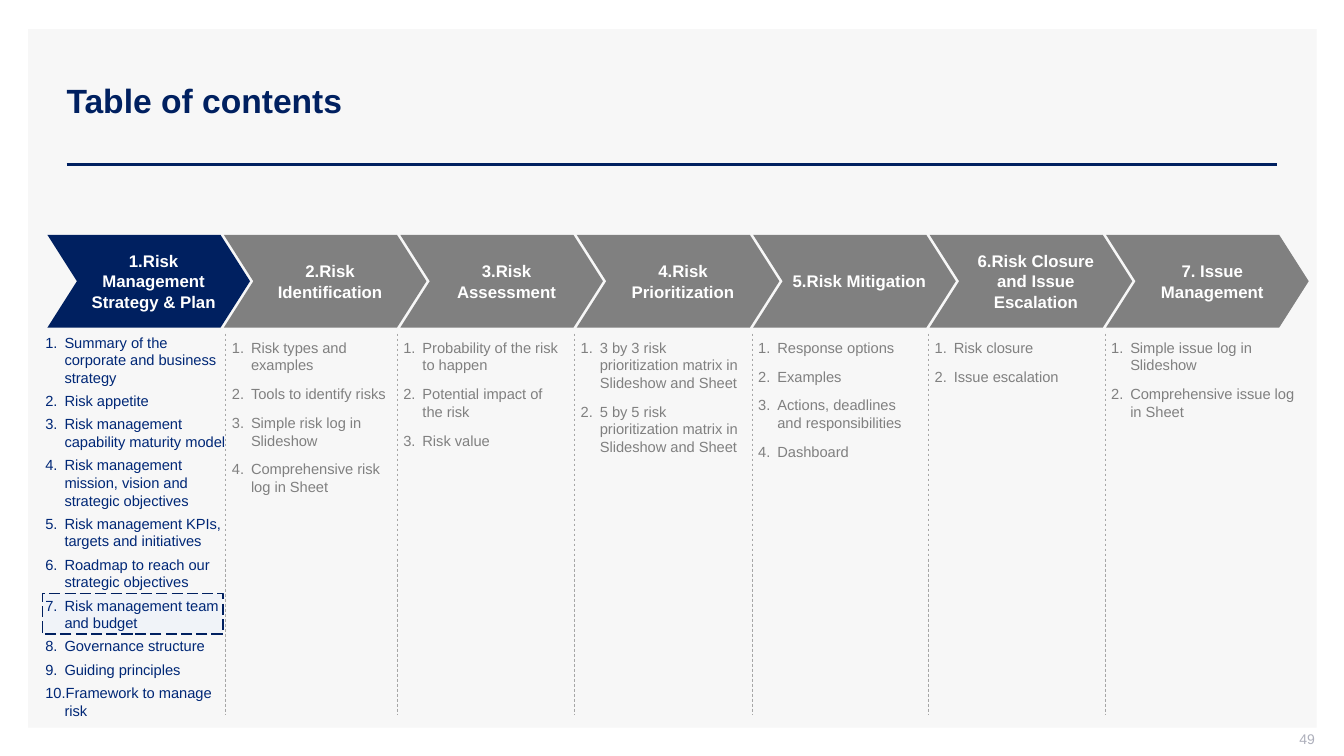
import pptx
import pptx.util
import pptx.dml.color
import pptx.enum.dml
import pptx.enum.shapes
import pptx.enum.text
import pptx.oxml.ns
from lxml import etree

Inches, Pt = pptx.util.Inches, pptx.util.Pt
RGBColor = pptx.dml.color.RGBColor
SHAPE = pptx.enum.shapes.MSO_SHAPE
DASH = pptx.enum.dml.MSO_LINE
ALIGN = pptx.enum.text.PP_ALIGN
ANCHOR = pptx.enum.text.MSO_ANCHOR
qn = pptx.oxml.ns.qn

NAVY = RGBColor(0x00, 0x20, 0x60)
INK = RGBColor(0x00, 0x27, 0x76)
GRAY = RGBColor(0x80, 0x80, 0x80)
RULE = RGBColor(0xA6, 0xA6, 0xA6)
PALE = RGBColor(0xF7, 0xF7, 0xF7)
TINT = RGBColor(0xD6, 0xE3, 0xFF)
FAINT = RGBColor(0xAD, 0xAF, 0xBB)
WHITE = RGBColor(0xFF, 0xFF, 0xFF)

# Heading, left and width of the list, items
STEPS = [
    ("1.Risk Management Strategy & Plan", 0.45, 1.9, [
        "Summary of the corporate and business strategy",
        "Risk appetite",
        "Risk management capability maturity model",
        "Risk management mission, vision and strategic objectives",
        "Risk management KPIs, targets and initiatives",
        "Roadmap to reach our strategic objectives",
        "Risk management team and budget",
        "Governance structure",
        "Guiding principles",
        "Framework to manage risk"]),
    ("2.Risk Identification", 2.3, 1.7, [
        "Risk types and examples",
        "Tools to identify risks",
        "Simple risk log in Slideshow",
        "Comprehensive risk log in Sheet"]),
    ("3.Risk Assessment", 4, 1.71, [
        "Probability of the risk to happen",
        "Potential impact of the risk",
        "Risk value"]),
    ("4.Risk Prioritization", 5.76, 1.76, [
        "3 by 3 risk prioritization matrix in Slideshow and Sheet",
        "5 by 5 risk prioritization matrix in Slideshow and Sheet"]),
    ("5.Risk Mitigation", 7.52, 1.68, [
        "Response options",
        "Examples",
        "Actions, deadlines and responsibilities",
        "Dashboard"]),
    ("6.Risk Closure and Issue Escalation", 9.27, 1.92, [
        "Risk closure",
        "Issue escalation"]),
    ("7. Issue Management", 11.02, 1.92, [
        "Simple issue log in Slideshow",
        "Comprehensive issue log in Sheet"]),
]


class Page:
    face = "Arial"

    def __init__(self, deck):
        self.slide = deck.slides.add_slide(deck.slide_layouts[5])
        self.shapes = self.slide.shapes

    def style(self, para, size, color, bold=False, align=ALIGN.LEFT):
        para.alignment = align
        font = para.font
        font.name, font.size, font.bold = self.face, Pt(size), bold
        font.color.rgb = color

    def frame(self, shape, insets, anchor):
        """Set wrapping, anchor and insets (left, top, right, bottom)."""
        frame = shape.text_frame
        frame.word_wrap = True
        frame.vertical_anchor = anchor
        (frame.margin_left, frame.margin_top,
         frame.margin_right, frame.margin_bottom) = map(Inches, insets)
        return frame

    def title(self, text, *box):
        head = self.shapes.title
        head.left, head.top, head.width, head.height = map(Inches, box)
        frame = self.frame(head, (0.1, 0.05, 0.1, 0.05), ANCHOR.MIDDLE)
        frame.text = text
        self.style(frame.paragraphs[0], 24, NAVY, True)

    def shape(self, kind, fill, *box):
        shape = self.shapes.add_shape(kind, *map(Inches, box))
        shape.shadow.inherit = False
        shape.fill.solid()
        shape.fill.fore_color.rgb = fill
        shape.line.fill.background()
        return shape

    def marker(self, *box):
        """Add the see-through dashed box around the current item."""
        shape = self.shape(SHAPE.RECTANGLE, TINT, *box)
        color = shape.fill._xPr.find(".//" + qn("a:srgbClr"))
        etree.SubElement(color, qn("a:alpha"), val="20000")
        shape.line.color.rgb = NAVY
        shape.line.width = Pt(1)
        shape.line.dash_style = DASH.LONG_DASH

    def line(self, ends, color, width, dash=None):
        line = self.shapes.add_connector(
            pptx.enum.shapes.MSO_CONNECTOR.STRAIGHT, *map(Inches, ends))
        line.line.color.rgb = color
        line.line.width = Pt(width)
        if dash:
            line.line.dash_style = dash
        etree.SubElement(line._element.spPr, qn("a:effectLst"))

    def arrow(self, text, fill, *box):
        shape = self.shape(SHAPE.CHEVRON, fill, *box)
        shape.adjustments[0] = 0.318
        frame = self.frame(shape, (0.1, 0.05, 0, 0.05), ANCHOR.MIDDLE)
        frame.text = text
        self.style(frame.paragraphs[0], 12, WHITE, True, ALIGN.CENTER)

    def list(self, items, color, gap, *box):
        """Add a numbered list with gap points above and below each item."""
        shape = self.shapes.add_textbox(*map(Inches, box))
        frame = self.frame(shape, (0, 0.05, 0.1, 0.05), ANCHOR.TOP)
        frame.text = "\n".join(items)
        for i, para in enumerate(frame.paragraphs):
            props = para._p.get_or_add_pPr()
            props.set("marL", str(Inches(0.19)))
            props.set("indent", str(-Inches(0.19)))
            etree.SubElement(props, qn("a:buFont"), typeface="+mj-lt")
            etree.SubElement(props, qn("a:buAutoNum"), type="arabicPeriod")
            para.space_before = Pt(gap if i else 0)
            para.space_after = Pt(gap)
            self.style(para, 10.5, color)

    def number(self, text, *box):
        shape = self.shapes.add_textbox(*map(Inches, box))
        frame = self.frame(shape, (0.1, 0, 0, 0.05), ANCHOR.MIDDLE)
        frame.text = text
        self.style(frame.paragraphs[0], 10, FAINT, align=ALIGN.RIGHT)


def main():
    deck = pptx.Presentation()
    deck.slide_width, deck.slide_height = Inches(13.33), Inches(7.5)
    page = Page(deck)
    panel = page.shape(SHAPE.RECTANGLE, PALE, 0.28, 0.29, 12.78, 6.93)
    tree = panel._element.getparent()
    tree.insert(2, panel._element)  # behind the title
    page.line((0.66, 1.63, 12.67, 1.63), NAVY, 2)
    page.marker(0.42, 5.89, 1.79, 0.4)
    page.title("Table of contents", 0.56, 0.4, 12.11, 1.19)
    page.number("49", 10.04, 7.25, 3, 0.21)

    for i, (head, left, width, items) in enumerate(STEPS):
        first = i == 0
        page.arrow(head, NAVY if first else GRAY,
                   0.47 + 1.75 * i, 2.33, 2.01, 0.92)
        if first:
            page.list(items, INK, 2, left, 3.26, width, 3.96)
        else:
            edge = left - 0.06
            page.line((edge, 3.31, edge, 7.09), RULE, 0.5, DASH.DASH)
            page.list(items, GRAY, 4, left, 3.31, width, 2)
    deck.save("out.pptx")


if __name__ == "__main__":
    main()
